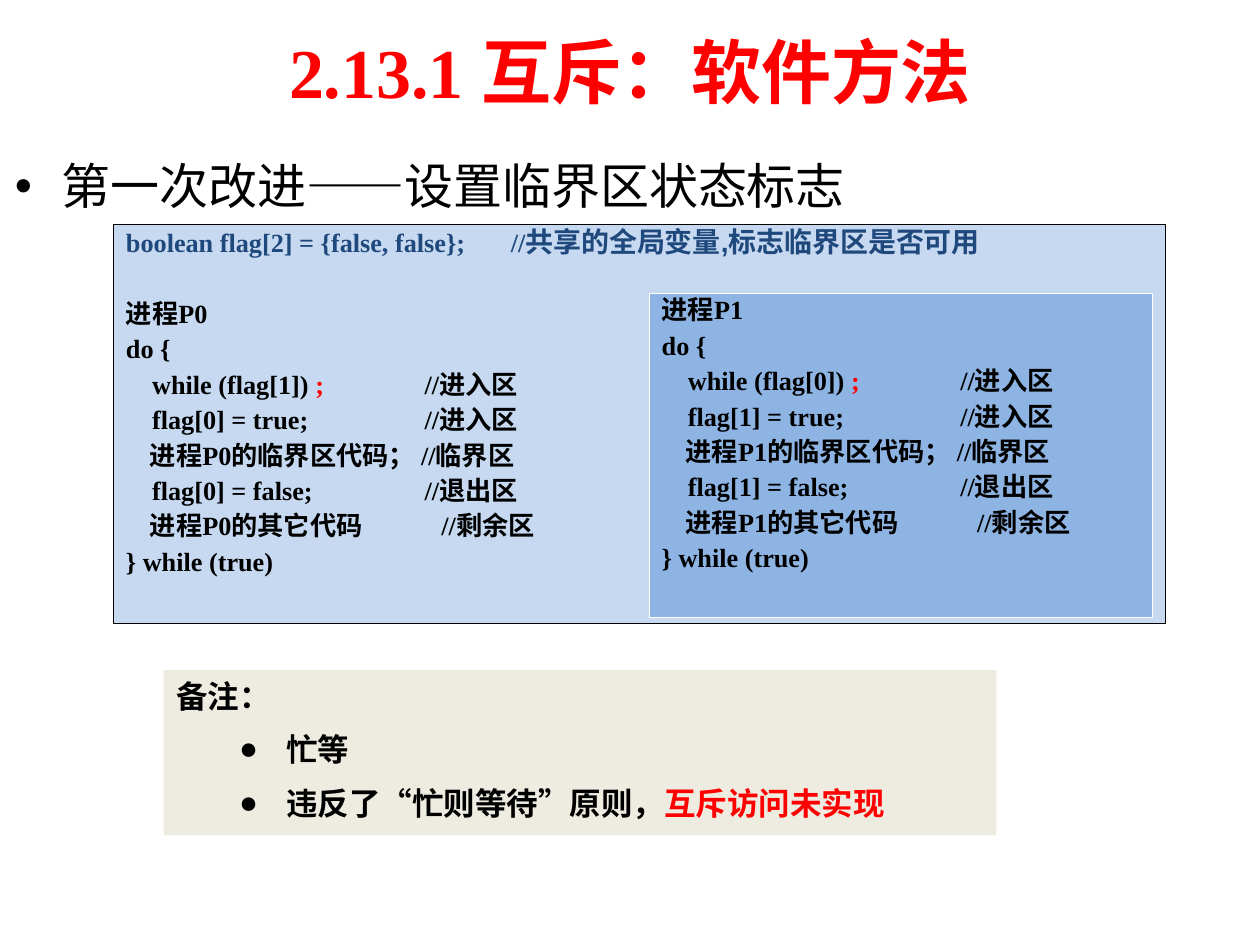
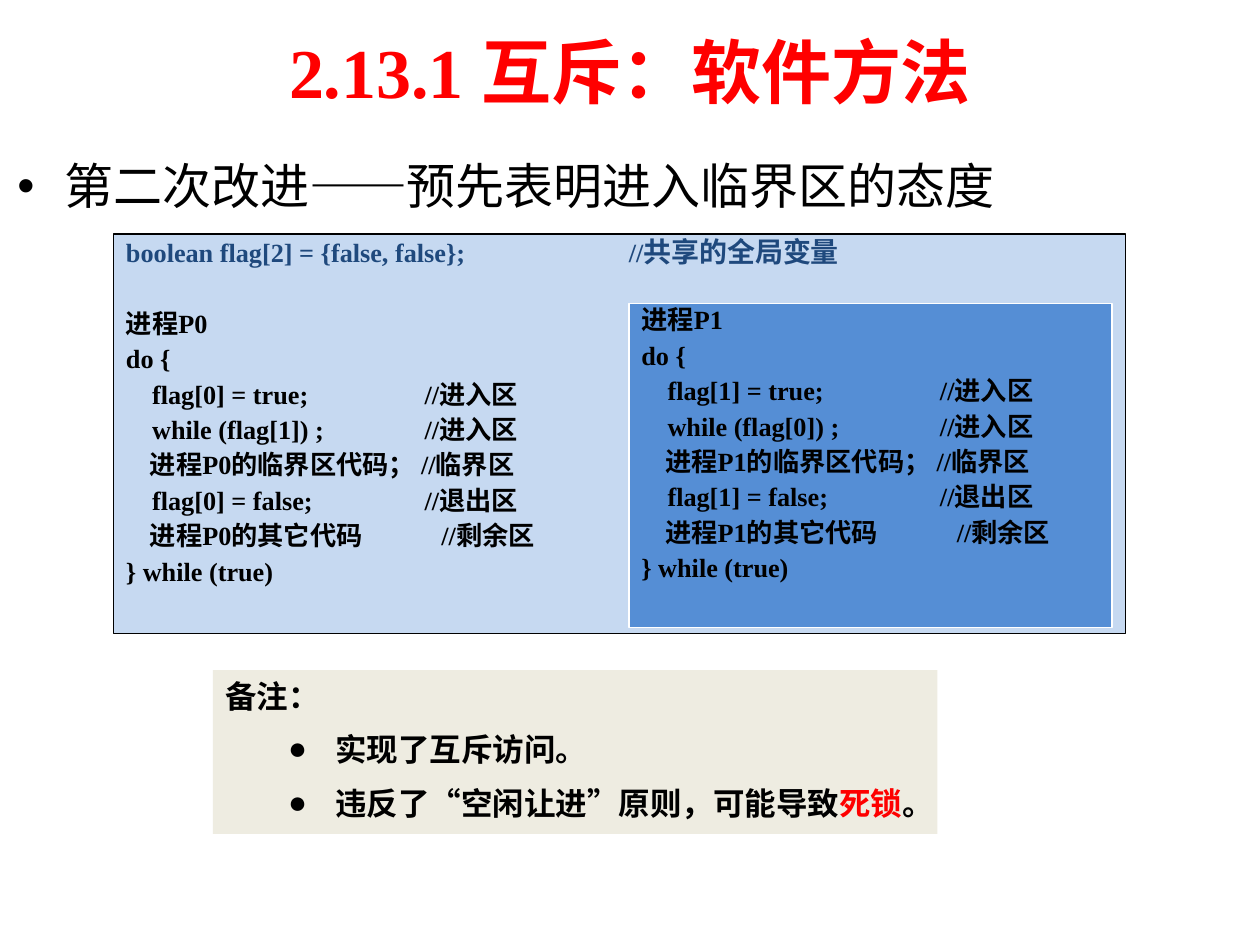
from dataclasses import dataclass

from lxml.etree import SubElement
from pptx import Presentation
from pptx.dml.color import RGBColor
from pptx.enum.shapes import MSO_SHAPE
from pptx.enum.text import MSO_ANCHOR, PP_ALIGN
from pptx.oxml.ns import qn
from pptx.util import Cm, Pt


@dataclass(frozen=True)
class Theme:
    serif: str = "Times New Roman"
    sans: str = "Arial"
    title: str = "FF0000"
    ink: str = "000000"
    accent: str = "FE0000"
    declaration: str = "1F497D"
    code_fill: str = "C6D9F1"
    note_fill: str = "EEECE1"
    panel_line: str = "FFFFFF"
    title_size: int = 40
    body_size: int = 28
    note_size: int = 18
    comment_size: int = 16
    code_size: int = 15


THEME = Theme()
CODE_GAP = 2.25  # points between code lines
SECTION_GAP = 22.5  # points between the declaration and process P0
NOTE_GAP = 9  # points between notes
STATEMENT_TAB, REMAINDER_TAB = 6.02, 6.36  # comment columns in cm


def color(value):
    return RGBColor.from_string(value)


def add_span(para, text, size, font, ink=THEME.ink, bold=True):
    span = para.add_run()
    span.text = text
    span.font.size = Pt(size)
    span.font.bold = bold
    span.font.name = font
    span.font.color.rgb = color(ink)


def add_para(frame, spans, size, font, ink=THEME.ink, bold=True, align=PP_ALIGN.LEFT,
             before=0, line_spacing=None, margin=0, hanging=0, bullet=None, tab=None):
    """Write one paragraph; a span is a text or a (text, format) pair."""
    first = frame.paragraphs[0]
    is_first = not first.runs
    para = first if is_first else frame.add_paragraph()
    props = para._p.get_or_add_pPr()
    if bullet:
        props.set("marL", str(Cm(margin)))
        props.set("indent", str(-Cm(hanging)))
        SubElement(props, qn("a:buFont"), typeface=THEME.sans)
        SubElement(props, qn("a:buChar"), char=bullet)
    if tab:
        stops = SubElement(props, qn("a:tabLst"))
        SubElement(stops, qn("a:tab"), pos=str(Cm(tab)), algn="l")
    para.alignment = align
    para.space_before = Pt(0 if is_first else before)
    if line_spacing:
        para.line_spacing = line_spacing
    for item in [spans] if isinstance(spans, str) else spans:
        text, changes = (item, {}) if isinstance(item, str) else item
        style = dict(size=size, font=font, ink=ink, bold=bold) | changes
        add_span(para, text, **style)


def add_text_box(page, box, anchor=MSO_ANCHOR.TOP):
    frame = page.shapes.add_textbox(*map(Cm, box)).text_frame
    frame.word_wrap = True
    frame.vertical_anchor = anchor
    return frame


def add_panel(shapes, box, fill, line=None, vertical_inset=0.13):
    panel = shapes.add_shape(MSO_SHAPE.RECTANGLE, *map(Cm, box))
    panel.shadow.inherit = False
    panel.fill.solid()
    panel.fill.fore_color.rgb = color(fill)
    if line:
        panel.line.color.rgb = color(line)
        panel.line.width = Pt(0.75)
    else:
        panel.line.fill.background()
    frame = panel.text_frame
    frame.word_wrap = True
    frame.vertical_anchor = MSO_ANCHOR.TOP
    frame.margin_top = frame.margin_bottom = Cm(vertical_inset)
    return frame


def add_heading(page, topic, topic_box):
    # Title
    title = add_text_box(page, (1.27, 0.13, 22.86, 2.59), MSO_ANCHOR.MIDDLE)
    add_para(title, "2.13.1 互斥：软件方法", THEME.title_size, THEME.serif,
             ink=THEME.title, align=PP_ALIGN.CENTER)
    # Topic
    body = add_text_box(page, topic_box)
    add_para(body, topic, THEME.body_size, THEME.serif, bold=False,
             line_spacing=1.25, margin=0.95, hanging=0.95, bullet="•")


def add_process(frame, own, other, flag_first, wait_ink):
    """Write the code of one process; its first line follows any declaration."""
    wait = [f"    while (flag[{other}]) ", (";", {"ink": wait_ink}), "\t//进入区"]
    claim = f"    flag[{own}] = true;\t//进入区"
    entry = [claim, wait] if flag_first else [wait, claim]
    lines = [
        f"进程P{own}",
        "do {",
        *entry,
        f"    进程P{own}的临界区代码； //临界区",
        f"    flag[{own}] = false;\t//退出区",
        f"    进程P{own}的其它代码\t//剩余区",
        "} while (true)",
    ]
    for index, spans in enumerate(lines):
        add_para(frame, spans, THEME.code_size, THEME.serif,
                 before=CODE_GAP if index else SECTION_GAP,
                 tab=REMAINDER_TAB if "其它" in spans else STATEMENT_TAB)


def add_code(page, box, comment, comment_tab, split, panel_fill, flag_first, wait_ink):
    left, top, width, height = box
    group = page.shapes.add_group_shape()
    # Shared declaration and process P0
    frame = add_panel(group.shapes, box, THEME.code_fill, THEME.ink, vertical_inset=0)
    add_para(frame, ["boolean flag[2] = {false, false};\t//",
                     (comment, {"size": THEME.comment_size, "font": THEME.sans})],
             THEME.code_size, THEME.serif, ink=THEME.declaration, tab=comment_tab)
    add_process(frame, 0, 1, flag_first, wait_ink)
    # Process P1
    head, right_gap, bottom_gap = 1.4, 0.27, 0.12
    panel_box = (left + split, top + head,
                 width - split - right_gap, height - head - bottom_gap)
    panel = add_panel(group.shapes, panel_box, panel_fill, THEME.panel_line, vertical_inset=0)
    add_process(panel, 1, 0, flag_first, wait_ink)


def add_notes(page, box, points):
    frame = add_panel(page.shapes, box, THEME.note_fill)
    add_para(frame, "备注：", THEME.note_size, THEME.sans)
    for point in points:
        add_para(frame, point, THEME.note_size, THEME.sans, before=NOTE_GAP,
                 margin=2.22, hanging=0.95, bullet="●")


def add_page(deck, topic, topic_box, code, notes_box, points):
    page = deck.slides.add_slide(deck.slide_layouts[6])
    add_heading(page, topic, topic_box)
    add_code(page, **code)
    add_notes(page, notes_box, points)


def main():
    deck = Presentation()
    deck.slide_width, deck.slide_height = Cm(25.4), Cm(19.05)
    red = {"ink": THEME.accent}

    # First improvement: state flags
    add_page(
        deck, "第一次改进——设置临界区状态标志", (0.05, 2.72, 22.86, 12.57),
        dict(box=(2.29, 4.52, 21.21, 8.05), comment="共享的全局变量,标志临界区是否可用",
             comment_tab=7.76, split=10.8, panel_fill="8EB4E3",
             flag_first=False, wait_ink=THEME.accent),
        (3.3, 13.51, 16.79, 3.33),
        ["忙等", ["违反了“忙则等待”原则，", ("互斥访问未实现", red)]])

    # Second improvement: intent declared first
    add_page(
        deck, "第二次改进——预先表明进入临界区的态度", (0.1, 2.72, 23.6, 12.57),
        dict(box=(2.29, 4.72, 20.4, 8.05), comment="共享的全局变量",
             comment_tab=10.14, split=10.39, panel_fill="558ED5",
             flag_first=True, wait_ink=THEME.ink),
        (4.29, 13.51, 14.61, 3.3),
        ["实现了互斥访问。", ["违反了“空闲让进”原则，可能导致", ("死锁", red), "。"]])

    deck.save("out.pptx")


if __name__ == "__main__":
    main()
